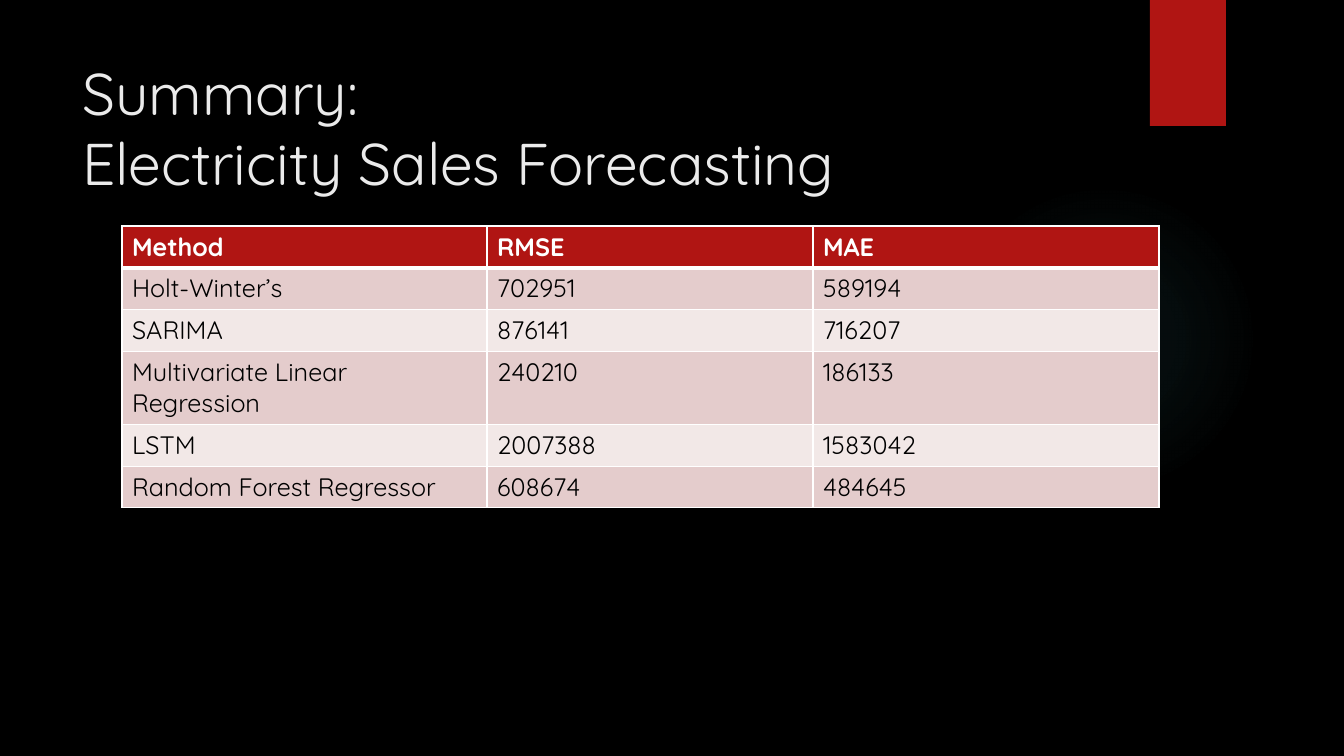
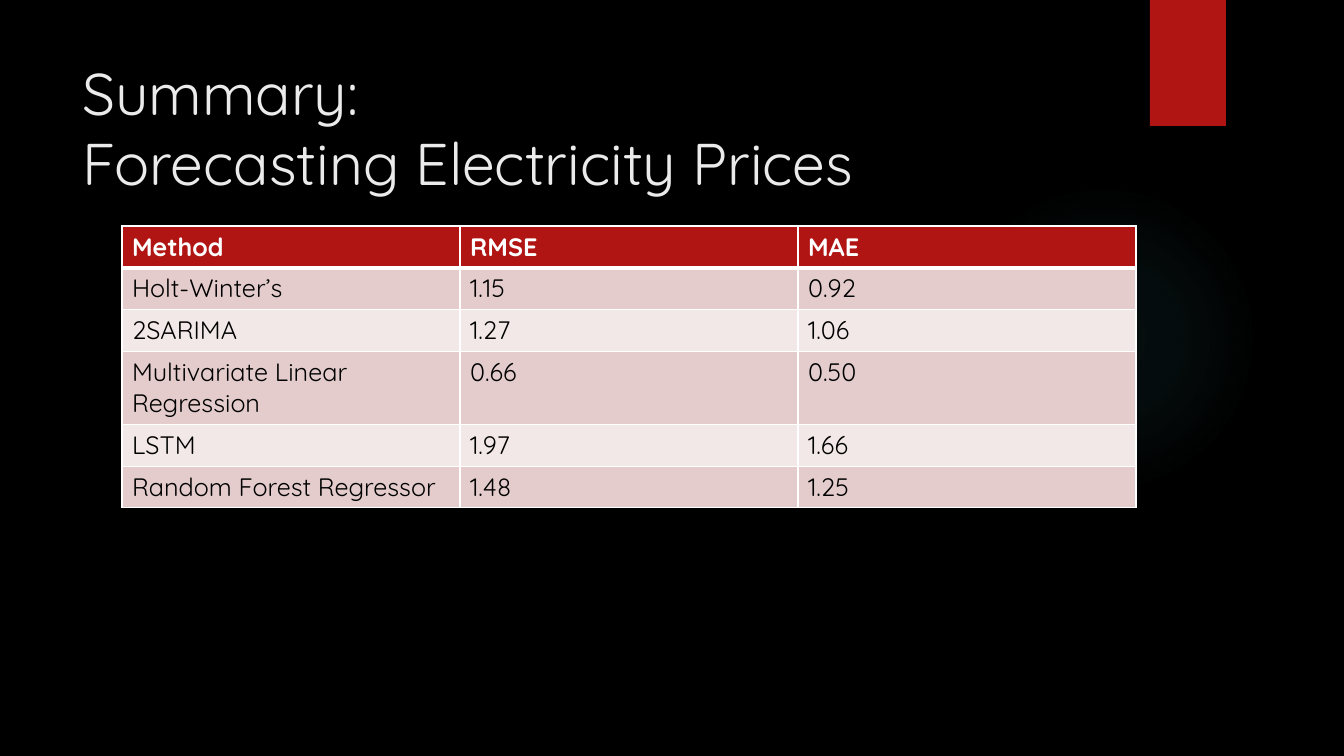
from pptx import Presentation
from pptx import util as u
from pptx.dml.color import RGBColor
from pptx.enum import shapes, text
from pptx.oxml import parse_xml
from pptx.oxml.ns import nsdecls, qn

# Content
HEADINGS = ("Method", "RMSE", "MAE")
SUMMARIES = [
    {
        "title": ("Summary:", "Electricity Sales Forecasting"),
        "columns": (365, 326, 346),
        "rows": [
            ("Holt-Winter’s", "702951", "589194"),
            ("SARIMA", "876141", "716207"),
            ("Multivariate Linear Regression", "240210", "186133"),
            ("LSTM", "2007388", "1583042"),
            ("Random Forest Regressor", "608674", "484645"),
        ],
    },
    {
        "title": ("Summary:", "Forecasting Electricity Prices"),
        "columns": (338, 338, 338),
        "rows": [
            ("Holt-Winter’s", "1.15", "0.92"),
            ("2SARIMA", "1.27", "1.06"),
            ("Multivariate Linear Regression", "0.66", "0.50"),
            ("LSTM", "1.97", "1.66"),
            ("Random Forest Regressor", "1.48", "1.25"),
        ],
    },
]

# Shared look; lengths in px
PX = 12192000 / 1344
SLIDE = (1344, 756)
GLOW_AT = (949, 184, 310, 310)
RIBBON_AT = (1150, 0, 76, 126)
TITLE_AT = (72, 50, 1037, 154)
TABLE_LEFT, TABLE_TOP, ROW_HEIGHT = 122, 226, 41

FONT = "Quicksand"
BLACK = RGBColor(0x00, 0x00, 0x00)
WHITE = RGBColor(0xFF, 0xFF, 0xFF)
RED = RGBColor(0xB0, 0x15, 0x13)
TITLE_GREY = RGBColor(0xEB, 0xEB, 0xEB)
GLOW_TEAL = RGBColor(0x50, 0xB9, 0xC1)
BANDS = (RGBColor(0xE4, 0xCC, 0xCC), RGBColor(0xF2, 0xE8, 0xE7))
GLOW_STOPS = ((0, 7), (36, 6), (69, 0))  # position %, opacity %

HEADER_FONT = {"name": FONT, "size": u.Pt(18), "bold": True}
BODY_FONT = {**HEADER_FONT, "bold": False}


def emu(*lengths):
    return [u.Emu(round(length * PX)) for length in lengths]


def drawing(xml):
    """Parse one element of the a: namespace."""
    tag, rest = xml[1:].split(" ", 1)
    return parse_xml(f"<{tag} {nsdecls('a')} {rest}")


def add_backdrop_shape(slide, layout, kind, place, position):
    """Make a shape without line or shadow and hand it to the layout."""
    shape = slide.shapes.add_shape(kind, *emu(*place))
    shape.shadow.inherit = False
    shape.line.fill.background()
    layout.shapes.element.insert(position, shape.element)
    return shape


def add_backdrop(slide, layout):
    glow = add_backdrop_shape(slide, layout, shapes.MSO_SHAPE.OVAL, GLOW_AT, 2)
    stops = "".join(
        f'<a:gs pos="{position * 1000}"><a:srgbClr val="{GLOW_TEAL}">'
        f'<a:alpha val="{opacity * 1000}"/></a:srgbClr></a:gs>'
        for position, opacity in GLOW_STOPS)
    geometry = glow.element.spPr.find(qn("a:prstGeom"))
    geometry.addnext(drawing(
        f'<a:gradFill rotWithShape="1"><a:gsLst>{stops}</a:gsLst><a:path path="circle">'
        '<a:fillToRect l="50000" t="50000" r="50000" b="50000"/></a:path></a:gradFill>'))

    ribbon = add_backdrop_shape(slide, layout, shapes.MSO_SHAPE.RECTANGLE, RIBBON_AT, 3)
    ribbon.fill.solid()
    ribbon.fill.fore_color.rgb = RED
    ribbon.element.spPr.find(qn("a:effectLst")).append(drawing(
        f'<a:outerShdw blurRad="{u.Pt(3)}" dist="{u.Pt(2)}" dir="5400000">'
        f'<a:srgbClr val="{BLACK}"><a:alpha val="45000"/></a:srgbClr></a:outerShdw>'))


def style_title(layout):
    title = layout.placeholders[0]
    title.left, title.top, title.width, title.height = emu(*TITLE_AT)
    title.text_frame.vertical_anchor = text.MSO_ANCHOR.MIDDLE
    title.element.txBody.find(qn("a:lstStyle")).append(drawing(
        f'<a:lvl1pPr algn="l"><a:defRPr sz="4200"><a:solidFill><a:srgbClr val="{TITLE_GREY}"/>'
        f'</a:solidFill><a:latin typeface="{FONT}"/></a:defRPr></a:lvl1pPr>'))


def fill_title(slide, lines):
    para = slide.shapes.title.text_frame.paragraphs[0]
    for number, line in enumerate(lines):
        if number:
            para.add_line_break()
        para.add_run().text = line


def add_borders(cell, widths):
    for side, width in widths.items():
        cell._tc.get_or_add_tcPr().append(drawing(
            f'<a:ln{side} w="{u.Pt(width)}"><a:solidFill><a:srgbClr val="{WHITE}"/>'
            f'</a:solidFill></a:ln{side}>'))


def format_cell(cell, words, row):
    header = row == 0
    # The heavy rule lies between the header and the first data row
    add_borders(cell, {"L": 1, "R": 1, "T": 3 if row == 1 else 1, "B": 3 if header else 1})
    cell.fill.solid()
    cell.fill.fore_color.rgb = RED if header else BANDS[(row - 1) % 2]
    span = cell.text_frame.paragraphs[0].add_run()
    span.text = words
    for name, value in (HEADER_FONT if header else BODY_FONT).items():
        setattr(span.font, name, value)
    span.font.color.rgb = WHITE if header else BLACK


def add_score_table(slide, columns, rows):
    lines = [HEADINGS, *rows]
    place = emu(TABLE_LEFT, TABLE_TOP, sum(columns), ROW_HEIGHT * len(lines))
    table = slide.shapes.add_table(len(lines), len(columns), *place).table
    table.horz_banding = False
    for column, width in zip(table.columns, emu(*columns)):
        column.width = width
    for row, line in enumerate(lines):
        for column, words in enumerate(line):
            format_cell(table.cell(row, column), words, row)


def main():
    deck = Presentation()
    deck.slide_width, deck.slide_height = emu(*SLIDE)
    layout = deck.slide_layouts.get_by_name("Title Only")
    background = deck.slide_master.background.fill
    background.solid()
    background.fore_color.rgb = BLACK
    style_title(layout)

    for number, summary in enumerate(SUMMARIES):
        slide = deck.slides.add_slide(layout)
        if number == 0:
            add_backdrop(slide, layout)
        fill_title(slide, summary["title"])
        add_score_table(slide, summary["columns"], summary["rows"])
    deck.save("out.pptx")


if __name__ == "__main__":
    main()
